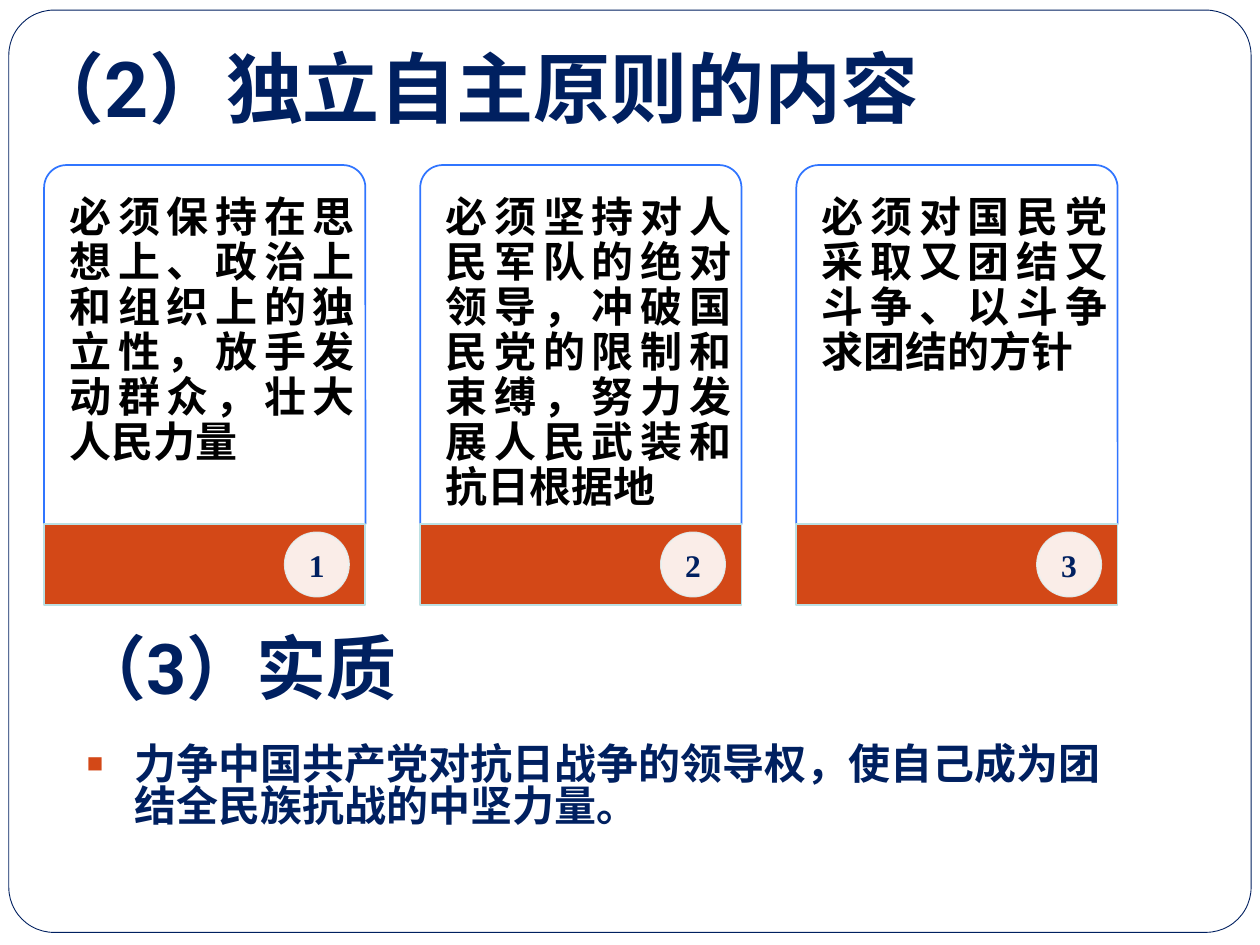
from dataclasses import dataclass
from typing import Optional

from lxml.etree import SubElement
from pptx import Presentation
from pptx.dml.color import RGBColor
from pptx.enum.shapes import MSO_SHAPE as Preset
from pptx.enum.text import MSO_ANCHOR as Anchor, MSO_AUTO_SIZE as AutoSize, PP_ALIGN as Align
from pptx.oxml.ns import qn
from pptx.util import Inches, Pt


@dataclass(frozen=True)
class Theme:
    navy: str = "002060"
    orange: str = "D34817"
    blue: str = "3075FF"
    pale_blue: str = "BBE0E3"
    badge_line: str = "E7F3F4"
    white: str = "FFFFFF"
    black: str = "000000"
    heading_font: str = "Roboto"
    card_font: str = "Times New Roman"
    body_font: str = "Noto Sans CJK JP"
    title_size: int = 44
    heading_size: int = 40
    body_size: int = 24
    badge_size: int = 18


@dataclass(frozen=True)
class Area:
    left: float
    top: float
    width: float
    height: float

    def lengths(self) -> tuple:
        return tuple(Inches(v) for v in (self.left, self.top, self.width, self.height))


@dataclass(frozen=True)
class CardGrid:
    left: float = 0.35
    top: float = 1.31
    pitch: float = 2.985
    width: float = 2.55
    text_height: float = 2.85
    band_height: float = 0.64
    badge: float = 0.51
    badge_right: float = 0.13

    def text_area(self, column: int) -> Area:
        return Area(self.left + column * self.pitch, self.top, self.width, self.text_height)

    def band_area(self, column: int) -> Area:
        return Area(self.left + column * self.pitch, self.top + self.text_height,
                    self.width, self.band_height)

    def badge_area(self, column: int) -> Area:
        band = self.band_area(column)
        return Area(band.left + band.width - self.badge_right - self.badge,
                    band.top + (band.height - self.badge) / 2, self.badge, self.badge)


THEME = Theme()
GRID = CardGrid()
CARDS = (
    "必须保持在思想上、政治上和组织上的独立性，放手发动群众，壮大人民力量",
    "必须坚持对人民军队的绝对领导，冲破国民党的限制和束缚，努力发展人民武装和抗日根据地",
    "必须对国民党采取又团结又斗争、以斗争求团结的方针",
)


def write(box, text: str, *, font: str, size: int, color: str = THEME.navy,
          align: Align = Align.LEFT, anchor: Anchor = Anchor.TOP,
          leading: Optional[float] = None, margins: tuple = (0.1, 0.05, 0.1, 0.05),
          bullet: bool = False) -> None:
    """Fill a box with one bold paragraph; leading is in ems."""
    frame = box.text_frame
    frame.word_wrap = True
    frame.auto_size = AutoSize.NONE
    frame.vertical_anchor = anchor
    (frame.margin_left, frame.margin_top,
     frame.margin_right, frame.margin_bottom) = map(Inches, margins)
    para = frame.paragraphs[0]
    para.alignment = align
    para.space_before = Pt(0)
    if leading:
        para.line_spacing = Pt(round(size * leading, 1))
    if bullet:
        add_bullet(para)
    span = para.add_run()
    span.text = text
    span.font.name = font
    span.font.size = Pt(size)
    span.font.bold = True
    span.font.color.rgb = RGBColor.from_string(color)
    properties = span.font._element
    properties.set("lang", "zh-CN")
    SubElement(properties, qn("a:ea")).set("typeface", THEME.body_font)


def add_bullet(para) -> None:
    properties = para._p.get_or_add_pPr()
    properties.set("marL", str(Inches(0.38)))
    properties.set("indent", str(Inches(-0.38)))
    color = SubElement(properties, qn("a:buClr"))
    SubElement(color, qn("a:srgbClr")).set("val", THEME.orange)
    SubElement(properties, qn("a:buSzPct")).set("val", "65000")
    SubElement(properties, qn("a:buChar")).set("char", "■")


def draw(page, preset: Preset, area: Area, *, fill: str, line: str,
         weight: float = 1, opacity: int = 100, line_opacity: int = 100):
    shape = page.shapes.add_shape(preset, *area.lengths())
    shape.shadow.inherit = False
    shape.fill.solid()
    shape.fill.fore_color.rgb = RGBColor.from_string(fill)
    shape.line.color.rgb = RGBColor.from_string(line)
    shape.line.width = Pt(weight)
    # Opacity of fill and outline
    properties = shape._element.spPr
    for holder, percent in ((properties, opacity), (properties.find(qn("a:ln")), line_opacity)):
        if percent < 100:
            color = holder.find(qn("a:solidFill")).find(qn("a:srgbClr"))
            SubElement(color, qn("a:alpha")).set("val", str(percent * 1000))
    return shape


def draw_card(page, column: int, text: str) -> None:
    panel = draw(page, Preset.ROUND_2_SAME_RECTANGLE, GRID.text_area(column),
                 fill=THEME.white, line=THEME.blue, opacity=90)
    panel.adjustments[0] = 0.07
    write(panel, text, font=THEME.card_font, size=THEME.body_size, color=THEME.black,
          align=Align.JUSTIFY, leading=1.07, margins=(0.15, 0.19, 0.03, 0.02))
    draw(page, Preset.RECTANGLE, GRID.band_area(column),
         fill=THEME.orange, line=THEME.pale_blue)
    badge = draw(page, Preset.OVAL, GRID.badge_area(column), fill=THEME.white,
                 line=THEME.badge_line, opacity=90, line_opacity=90)
    write(badge, str(column + 1), font=THEME.card_font, size=THEME.badge_size,
          align=Align.CENTER, anchor=Anchor.MIDDLE, margins=(0, 0, 0, 0))


def place(box, area: Area):
    box.left, box.top, box.width, box.height = area.lengths()
    return box


def main() -> None:
    deck = Presentation()
    deck.slide_width, deck.slide_height = Inches(10), Inches(7.5)
    page = deck.slides.add_slide(deck.slide_layouts[1])

    # Rounded page frame, behind everything
    border = draw(page, Preset.ROUNDED_RECTANGLE, Area(0.07, 0.08, 9.86, 7.32),
                  fill=THEME.white, line=THEME.navy, weight=0.5)
    border.adjustments[0] = 0.049
    page.shapes._spTree.insert(2, border._element)

    # Three principles
    for column, text in enumerate(CARDS):
        draw_card(page, column, text)

    # Headings and closing statement
    title = place(page.shapes.title, Area(0.12, 0.21, 9, 1.24))
    write(title, "（2）独立自主原则的内容", font=THEME.heading_font,
          size=THEME.title_size, leading=1.3)
    heading = page.shapes.add_textbox(*Area(0.51, 4.85, 8.99, 1.03).lengths())
    write(heading, "（3）实质", font=THEME.heading_font,
          size=THEME.heading_size, leading=1.3)
    body = place(page.placeholders[1], Area(0.59, 5.88, 8.5, 0.94))
    write(body, "力争中国共产党对抗日战争的领导权，使自己成为团结全民族抗战的中坚力量。",
          font=THEME.body_font, size=THEME.body_size, leading=0.98, bullet=True)

    deck.save("out.pptx")


if __name__ == "__main__":
    main()
